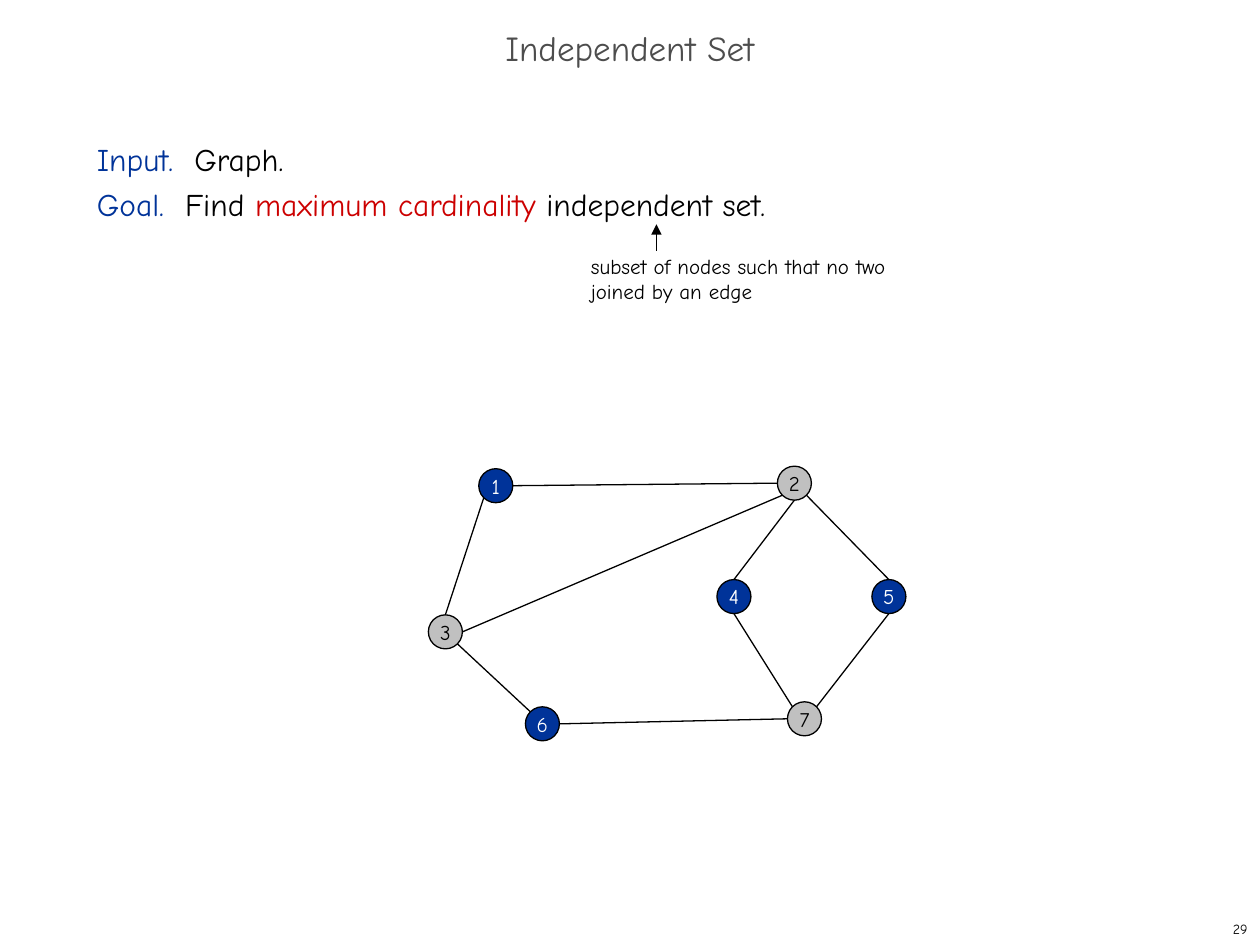
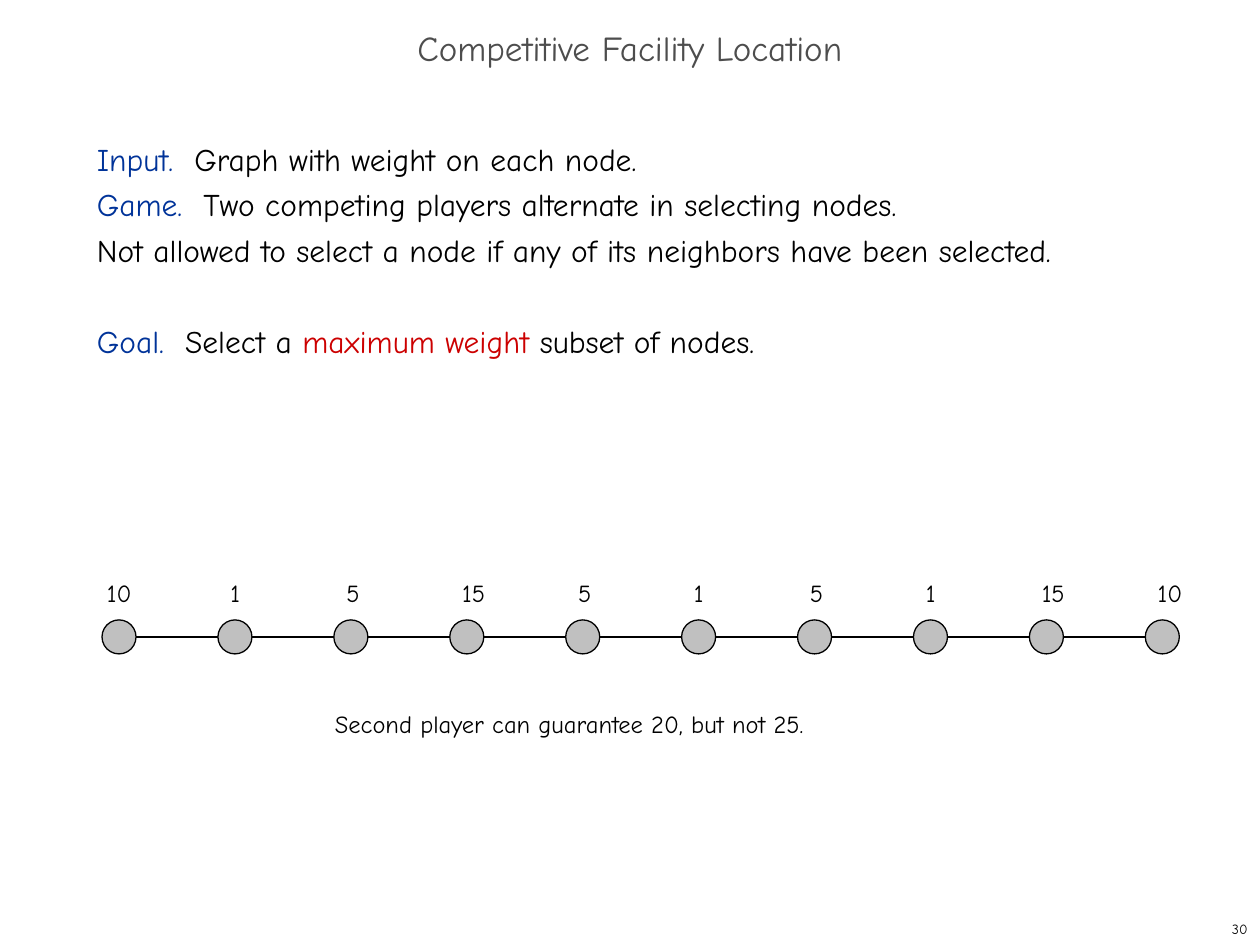
"""Build two slides on independent sets and competitive facility location."""
from dataclasses import dataclass
from math import sqrt

from lxml import etree
from pptx import Presentation
from pptx.dml.color import RGBColor
from pptx.enum.shapes import MSO_CONNECTOR, MSO_SHAPE
from pptx.enum.text import MSO_ANCHOR, PP_ALIGN
from pptx.oxml.ns import qn
from pptx.util import Inches, Pt

STRAIGHT = MSO_CONNECTOR.STRAIGHT
ELLIPSE = MSO_SHAPE.OVAL
TOP, MIDDLE = MSO_ANCHOR.TOP, MSO_ANCHOR.MIDDLE
LEFT, CENTER, RIGHT = PP_ALIGN.LEFT, PP_ALIGN.CENTER, PP_ALIGN.RIGHT


@dataclass(frozen=True)
class Theme:
    font: str = "Comic Neue"
    ink: str = "000000"
    title: str = "4D4D4D"
    blue: str = "003399"
    red: str = "CC0000"
    gray: str = "C0C0C0"
    white: str = "FFFFFF"
    title_size: float = 20
    body_size: float = 18
    label_size: float = 14
    small_size: float = 12
    number_size: float = 8
    body_leading: float = 26
    line_width: float = 0.75


THEME = Theme()
PAGE_WIDTH, PAGE_HEIGHT = 10, 7.5
DIAMETER = 0.27

INDEPENDENT_SET = {
    "title": "Independent Set",
    "number": "29",
    "body": [
        [("Input.  ", THEME.blue), ("Graph.", THEME.ink)],
        [("Goal.  ", THEME.blue), ("Find ", THEME.ink),
         ("maximum cardinality", THEME.red), (" independent set.", THEME.ink)],
    ],
}
FACILITY_LOCATION = {
    "title": "Competitive Facility Location",
    "number": "30",
    "body": [
        [("Input.  ", THEME.blue), ("Graph with weight on each node.", THEME.ink)],
        [("Game.  ", THEME.blue),
         ("Two competing players alternate in selecting nodes.\n"
          "Not allowed to select a node if any of its neighbors have been selected.",
          THEME.ink)],
        [("Goal.  ", THEME.blue), ("Select a ", THEME.ink),
         ("maximum weight", THEME.red), (" subset of nodes.", THEME.ink)],
    ],
    "gap_before": 2,
}

NODES = {1: (3.8, 3.72), 2: (6.17, 3.7), 3: (3.4, 4.88), 4: (5.69, 4.6),
         5: (6.92, 4.6), 6: (4.17, 5.61), 7: (6.25, 5.57)}
CHOSEN = {1, 4, 5, 6}
EDGES = [(1, "E", 2, "W"), (1, "SW", 3, "N"), (2, "SW", 3, "E"),
         (2, "S", 4, "N"), (2, "SE", 5, "N"), (3, "SE", 6, "NW"),
         (4, "S", 7, "NW"), (5, "S", 7, "NE"), (6, "E", 7, "W")]
COMPASS = {"N": (0, -1), "S": (0, 1), "E": (1, 0), "W": (-1, 0)}
DEFINITION = "subset of nodes such that no two\njoined by an edge"

WEIGHTS = [10, 1, 5, 15, 5, 1, 5, 1, 15, 10]
CHAIN_LEFT, CHAIN_TOP, CHAIN_STEP = 0.81, 4.92, 0.92
LABEL_TOP, FIRST_LABEL_SHIFT = 4.54, -0.06
CONCLUSION = "Second player can guarantee 20, but not 25."


def style_font(font, size, color):
    font.name, font.size = THEME.font, Pt(size)
    font.color.rgb = RGBColor.from_string(color)


def prepare_frame(frame, anchor=TOP, margins=(0.1, 0.05), wrap=True):
    frame.word_wrap, frame.vertical_anchor = wrap, anchor
    frame.margin_left = frame.margin_right = Inches(margins[0])
    frame.margin_top = frame.margin_bottom = Inches(margins[1])


def add_box(page, place, anchor=TOP, margins=(0.1, 0.05)):
    box = page.shapes.add_textbox(*map(Inches, place))
    prepare_frame(box.text_frame, anchor, margins)
    return box.text_frame


def write(frame, text, size, color, align=LEFT):
    para = frame.paragraphs[0]
    para.text, para.alignment = text.replace("\n", "\v"), align
    style_font(para.font, size, color)
    return para


def add_line(page, start, end, arrow=False):
    line = page.shapes.add_connector(STRAIGHT, *map(Inches, (*start, *end)))
    line.line.width = Pt(THEME.line_width)
    line.line.color.rgb = RGBColor.from_string(THEME.ink)
    properties = line.element.spPr
    if arrow:
        outline = properties.find(qn("a:ln"))
        etree.SubElement(outline, qn("a:tailEnd"), type="triangle")
    etree.SubElement(properties, qn("a:effectLst"))


def add_node(page, left, top, fill, text="", color=THEME.ink):
    node = page.shapes.add_shape(ELLIPSE, *map(Inches, (left, top, DIAMETER, DIAMETER)))
    node.shadow.inherit = False
    node.fill.solid()
    node.fill.fore_color.rgb = RGBColor.from_string(fill)
    node.line.width = Pt(THEME.line_width)
    node.line.color.rgb = RGBColor.from_string(THEME.ink)
    if text:
        prepare_frame(node.text_frame, MIDDLE, (0, 0), wrap=False)
        write(node.text_frame, text, THEME.small_size, color, CENTER)


def add_body(page, paragraphs, gap_before=None):
    frame = add_box(page, (0.67, 1, 8.58, 5.92))
    for index, spans in enumerate(paragraphs):
        para = frame.add_paragraph() if index else frame.paragraphs[0]
        para.line_spacing = Pt(THEME.body_leading)
        if index == gap_before:
            para.space_before = Pt(THEME.body_leading)
        for text, color in spans:
            for row, part in enumerate(text.split("\n")):
                if row:
                    para.add_line_break()
                span = para.add_run()
                span.text = part
                style_font(span.font, THEME.body_size, color)


def add_page(deck, content):
    page = deck.slides.add_slide(deck.slide_layouts[6])
    number = add_box(page, (7.92, 7.25, 2.08, 0.25), MIDDLE)
    write(number, content["number"], THEME.number_size, THEME.ink, RIGHT)
    title = add_box(page, (0, 0.17, PAGE_WIDTH, 0.5), MIDDLE)
    heading = write(title, content["title"], THEME.title_size, THEME.title, CENTER)
    heading.line_spacing = 0.7
    add_body(page, content["body"], content.get("gap_before"))
    return page


def rim_point(node, direction):
    radius = DIAMETER / 2
    reach = radius / sqrt(len(direction))
    left, top = NODES[node]
    return (left + radius + reach * sum(COMPASS[letter][0] for letter in direction),
            top + radius + reach * sum(COMPASS[letter][1] for letter in direction))


def draw_graph(page):
    for start, leaving, end, entering in EDGES:
        add_line(page, rim_point(start, leaving), rim_point(end, entering))
    for name, (left, top) in NODES.items():
        fill, color = ((THEME.blue, THEME.white) if name in CHOSEN
                       else (THEME.gray, THEME.ink))
        add_node(page, left, top, fill, str(name), color)
    note = add_box(page, (4.69, 2.01, 2.6, 0.4), margins=(0, 0))
    write(note, DEFINITION, THEME.small_size, THEME.ink)
    add_line(page, (5.21, 1.99), (5.21, 1.78), arrow=True)


def draw_chain(page):
    middle = CHAIN_TOP + DIAMETER / 2
    for index, weight in enumerate(WEIGHTS):
        left = CHAIN_LEFT + index * CHAIN_STEP
        if index:
            add_line(page, (left - CHAIN_STEP + DIAMETER, middle), (left, middle))
        add_node(page, left, CHAIN_TOP, THEME.gray)
        label_left = left if index else left + FIRST_LABEL_SHIFT
        label = add_box(page, (label_left, LABEL_TOP, 0.5, 0.33))
        write(label, str(weight), THEME.label_size, THEME.ink)
    conclusion = add_box(page, (2.56, 5.58, 4.2, 0.33))
    write(conclusion, CONCLUSION, THEME.label_size, THEME.ink)


def main():
    deck = Presentation()
    deck.slide_width, deck.slide_height = Inches(PAGE_WIDTH), Inches(PAGE_HEIGHT)
    draw_graph(add_page(deck, INDEPENDENT_SET))
    draw_chain(add_page(deck, FACILITY_LOCATION))
    deck.save("out.pptx")


if __name__ == "__main__":
    main()
